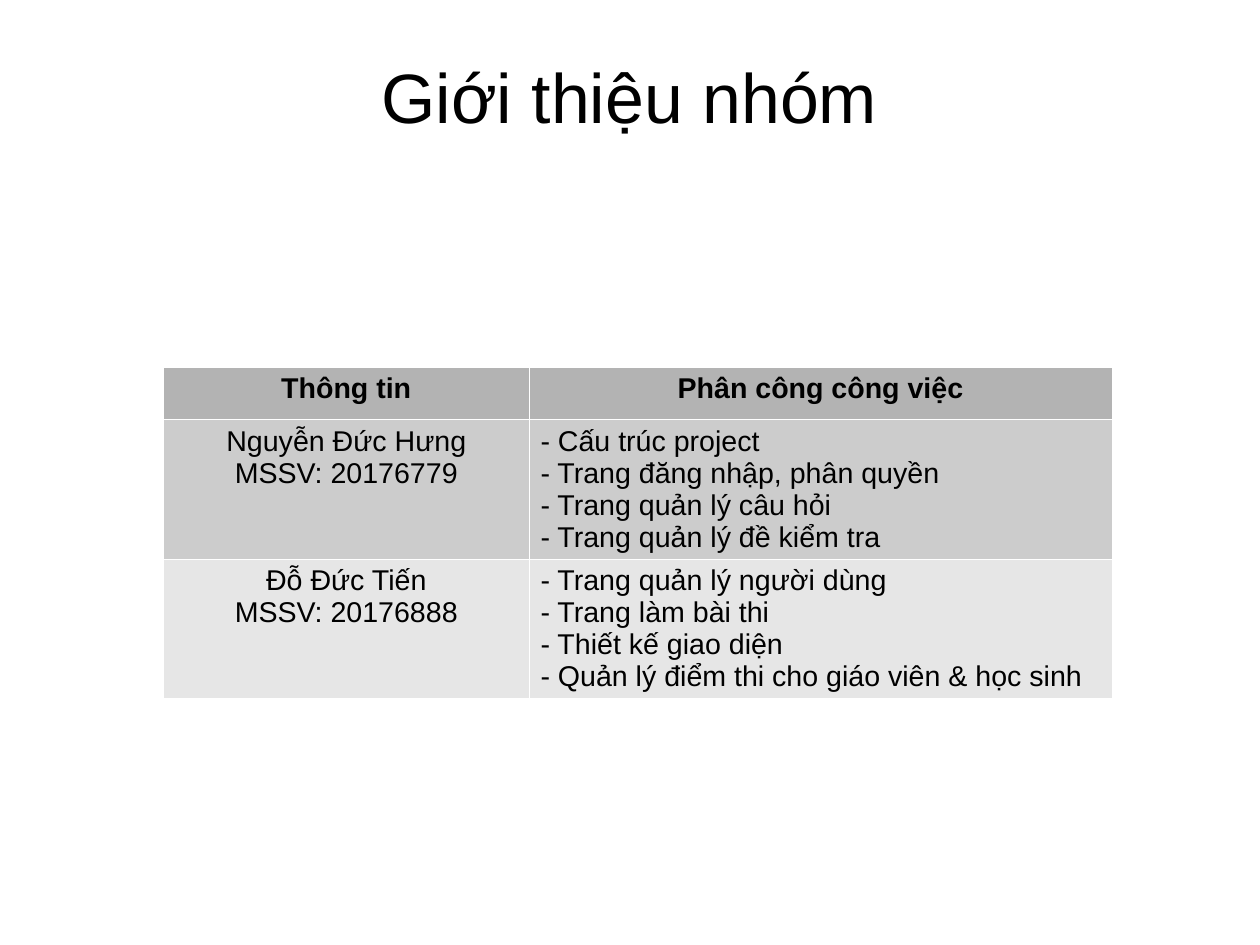
from lxml import etree
from pptx import Presentation
from pptx.dml.color import RGBColor
from pptx.enum import text as t
from pptx.oxml import ns
from pptx.util import Pt

POINTS_PER_CM = 72 / 2.54
INK = "000000"
RULE = "FFFFFF"
HEADINGS = ("Thông tin", "Phân công công việc")
MEMBERS = (
    (
        ("Nguyễn Đức Hưng", "MSSV: 20176779"),
        ("Cấu trúc project", "Trang đăng nhập, phân quyền",
         "Trang quản lý câu hỏi", "Trang quản lý đề kiểm tra"),
    ),
    (
        ("Đỗ Đức Tiến", "MSSV: 20176888"),
        ("Trang quản lý người dùng", "Trang làm bài thi",
         "Thiết kế giao diện", "Quản lý điểm thi cho giáo viên & học sinh"),
    ),
)
ROW_FILLS = ("B3B3B3", "CCCCCC", "E6E6E6")
COLUMN_WIDTHS = (230.3, 367.2)
ROW_HEIGHTS = (33, 87.5, 87.5)


def colour(value):
    return RGBColor.from_string(value)


def write(frame, content, size=18, bold=False, align=t.PP_ALIGN.LEFT, insets=(0, 0)):
    frame.word_wrap = True
    frame.margin_left = frame.margin_right = Pt(insets[0])
    frame.margin_top = frame.margin_bottom = Pt(insets[1])
    frame.text = content
    for line in frame.paragraphs:
        line.alignment = align
        for run in line.runs:
            run.font.name = "Arial"
            run.font.size = Pt(size)
            run.font.bold = bold
            run.font.color.rgb = colour(INK)


def outline(cell):
    properties = cell._tc.get_or_add_tcPr()
    for side in ("lnL", "lnR", "lnT", "lnB"):
        edge = etree.SubElement(properties, ns.qn(f"a:{side}"), w=str(Pt(0.06)))
        paint = etree.SubElement(edge, ns.qn("a:solidFill"))
        etree.SubElement(paint, ns.qn("a:srgbClr"), val=RULE)


def place_heading(slide, left, top, width, height):
    heading = slide.shapes.title
    heading.left, heading.top = Pt(left), Pt(top)
    heading.width, heading.height = Pt(width), Pt(height)
    write(heading.text_frame, "Giới thiệu nhóm", size=44, align=t.PP_ALIGN.CENTER)
    heading.text_frame.auto_size = t.MSO_AUTO_SIZE.NONE
    heading.text_frame.vertical_anchor = t.MSO_ANCHOR.MIDDLE


def place_assignments(slide, left, top):
    rows = [HEADINGS]
    for identity, tasks in MEMBERS:
        rows.append(("\n".join(identity), "\n".join(f"- {task}" for task in tasks)))
    assignments = slide.shapes.add_table(
        len(rows), len(HEADINGS), Pt(left), Pt(top),
        Pt(sum(COLUMN_WIDTHS)), Pt(sum(ROW_HEIGHTS)),
    ).table
    for column, width in zip(assignments.columns, COLUMN_WIDTHS):
        column.width = Pt(width)
    for r, (entries, fill, height) in enumerate(zip(rows, ROW_FILLS, ROW_HEIGHTS)):
        assignments.rows[r].height = Pt(height)
        for c, entry in enumerate(entries):
            cell = assignments.cell(r, c)
            centred = r == 0 or c == 0
            write(
                cell.text_frame, entry, bold=r == 0, insets=(7.2, 3.6),
                align=t.PP_ALIGN.CENTER if centred else t.PP_ALIGN.LEFT,
            )
            outline(cell)
            cell.fill.solid()
            cell.fill.fore_color.rgb = colour(fill)


def main():
    deck = Presentation()
    deck.slide_width = Pt(28 * POINTS_PER_CM)
    deck.slide_height = Pt(21 * POINTS_PER_CM)
    slide = deck.slides.add_slide(deck.slide_layouts[5])
    slide.background.fill.solid()
    slide.background.fill.fore_color.rgb = colour("FFFFFF")
    place_heading(slide, 39.6, 23.8, 714.2, 72.7)
    place_assignments(slide, 103, 231.2)
    deck.save("out.pptx")


if __name__ == "__main__":
    main()
